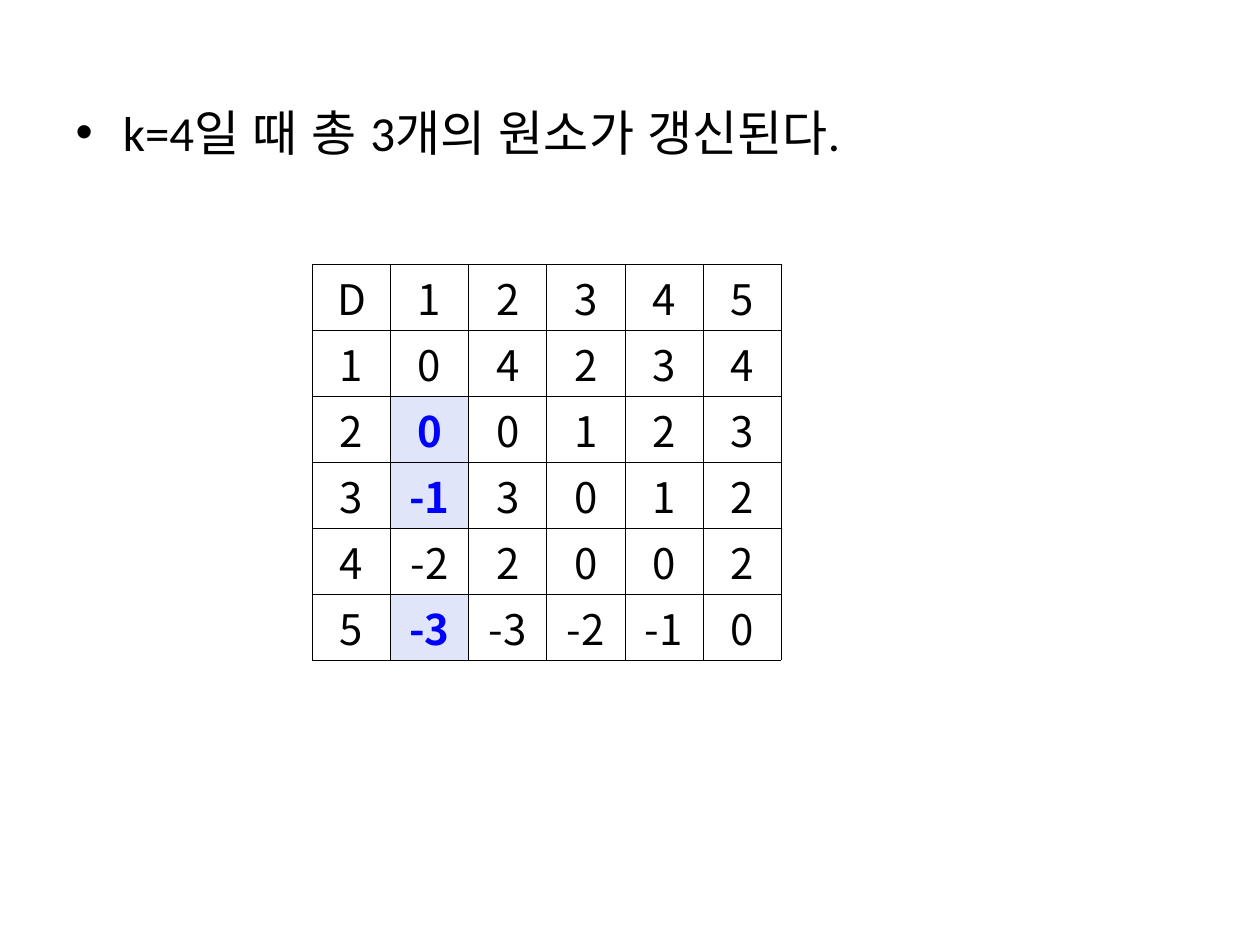
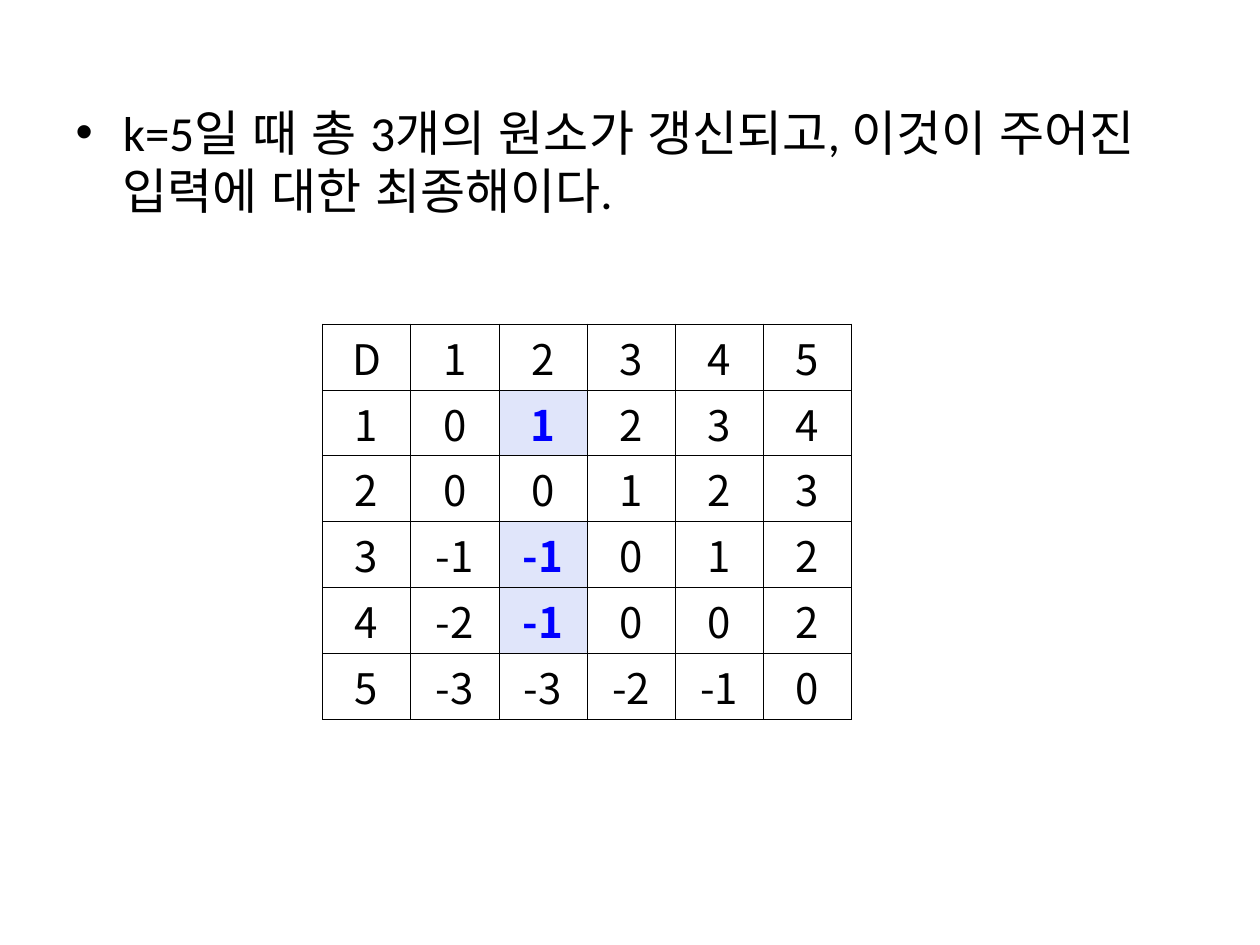
from lxml import etree
from pptx import Presentation
from pptx import util as u
from pptx.dml.color import RGBColor
from pptx.enum import lang, text
from pptx.oxml import ns

BLACK, BLUE, PALE_BLUE, WHITE = "000000", "0000FF", "E0E5FA", "FFFFFF"
BODY_FONT, TABLE_FONT = "Calibri", "Noto Sans CJK KR"
TEXT_SIZE, CELL_SIZE, BORDER_WIDTH = 28, 24, 0.28
ROW_HEIGHT, TABLE_HEIGHT = 0.21, 2.63
CELL_FORMAT = {
    "vertical_anchor": text.MSO_ANCHOR.MIDDLE,
    "margin_left": u.Inches(0.07),
    "margin_right": u.Inches(0.07),
    "margin_top": u.Inches(0.02),
    "margin_bottom": u.Inches(0.02),
}


def colour(value):
    return RGBColor.from_string(value)


def add_borders(cell):
    properties = cell._tc.get_or_add_tcPr()
    for side in ("a:lnL", "a:lnR", "a:lnT", "a:lnB"):
        line = etree.SubElement(properties, ns.qn(side), w=str(u.Pt(BORDER_WIDTH)))
        fill = etree.SubElement(line, ns.qn("a:solidFill"))
        etree.SubElement(fill, ns.qn("a:srgbClr"), val=BLACK)


steps = [
    {
        "message": "k=4일 때 총 3개의 원소가 갱신된다.",
        "left": 2.48, "top": 2.1, "column": 0.62,
        "distances": ["0 4 2 3 4", "0 0 1 2 3", "-1 3 0 1 2", "-2 2 0 0 2", "-3 -3 -2 -1 0"],
        "updated": {(2, 1), (3, 1), (5, 1)},
    },
    {
        "message": "k=5일 때 총 3개의 원소가 갱신되고, 이것이 주어진 입력에 대한 최종해이다.",
        "left": 2.56, "top": 2.57, "column": 0.7,
        "distances": ["0 1 2 3 4", "0 0 1 2 3", "-1 -1 0 1 2", "-2 -1 0 0 2", "-3 -3 -2 -1 0"],
        "updated": {(1, 2), (3, 2), (4, 2)},
    },
]

deck = Presentation()
deck.slide_width, deck.slide_height = u.Inches(10), u.Inches(7.5)
background = deck.slide_master.background.fill
background.solid()
background.fore_color.rgb = colour(WHITE)

for step in steps:
    page = deck.slides.add_slide(deck.slide_layouts[1])
    title = page.shapes.title.element
    title.getparent().remove(title)

    body = page.placeholders[1]
    body_place = {"left": 0.5, "top": 0.76, "width": 9, "height": 5.94}
    for name, value in body_place.items():
        setattr(body, name, u.Inches(value))
    body.text_frame.auto_size = text.MSO_AUTO_SIZE.NONE
    span = body.text_frame.paragraphs[0].add_run()
    span.text = step["message"]
    span.font.color.rgb = colour(BLACK)
    span_format = {
        "name": BODY_FONT,
        "size": u.Pt(TEXT_SIZE),
        "language_id": lang.MSO_LANGUAGE_ID.KOREAN,
    }
    for name, value in span_format.items():
        setattr(span.font, name, value)

    matrix = ["D 1 2 3 4 5".split()]
    for number, distances in enumerate(step["distances"], 1):
        matrix.append([str(number), *distances.split()])
    count = len(matrix)
    frame = page.shapes.add_table(
        count, count, u.Inches(step["left"]), u.Inches(step["top"]),
        u.Inches(step["column"] * count), u.Inches(TABLE_HEIGHT))
    table = frame.table
    table.first_row = table.horz_banding = False
    for row in table.rows:
        row.height = u.Inches(ROW_HEIGHT)
    frame.height = u.Inches(TABLE_HEIGHT)

    for row_number, values in enumerate(matrix):
        for column_number, value in enumerate(values):
            updated = (row_number, column_number) in step["updated"]
            cell = table.cell(row_number, column_number)
            for name, setting in CELL_FORMAT.items():
                setattr(cell, name, setting)
            add_borders(cell)
            if updated:
                cell.fill.solid()
                cell.fill.fore_color.rgb = colour(PALE_BLUE)
            else:
                cell.fill.background()
            para = cell.text_frame.paragraphs[0]
            para.alignment = text.PP_ALIGN.CENTER
            span = para.add_run()
            span.text = value
            span.font.color.rgb = colour(BLUE if updated else BLACK)
            value_format = {"name": TABLE_FONT, "size": u.Pt(CELL_SIZE), "bold": updated}
            for name, setting in value_format.items():
                setattr(span.font, name, setting)

deck.save("out.pptx")
